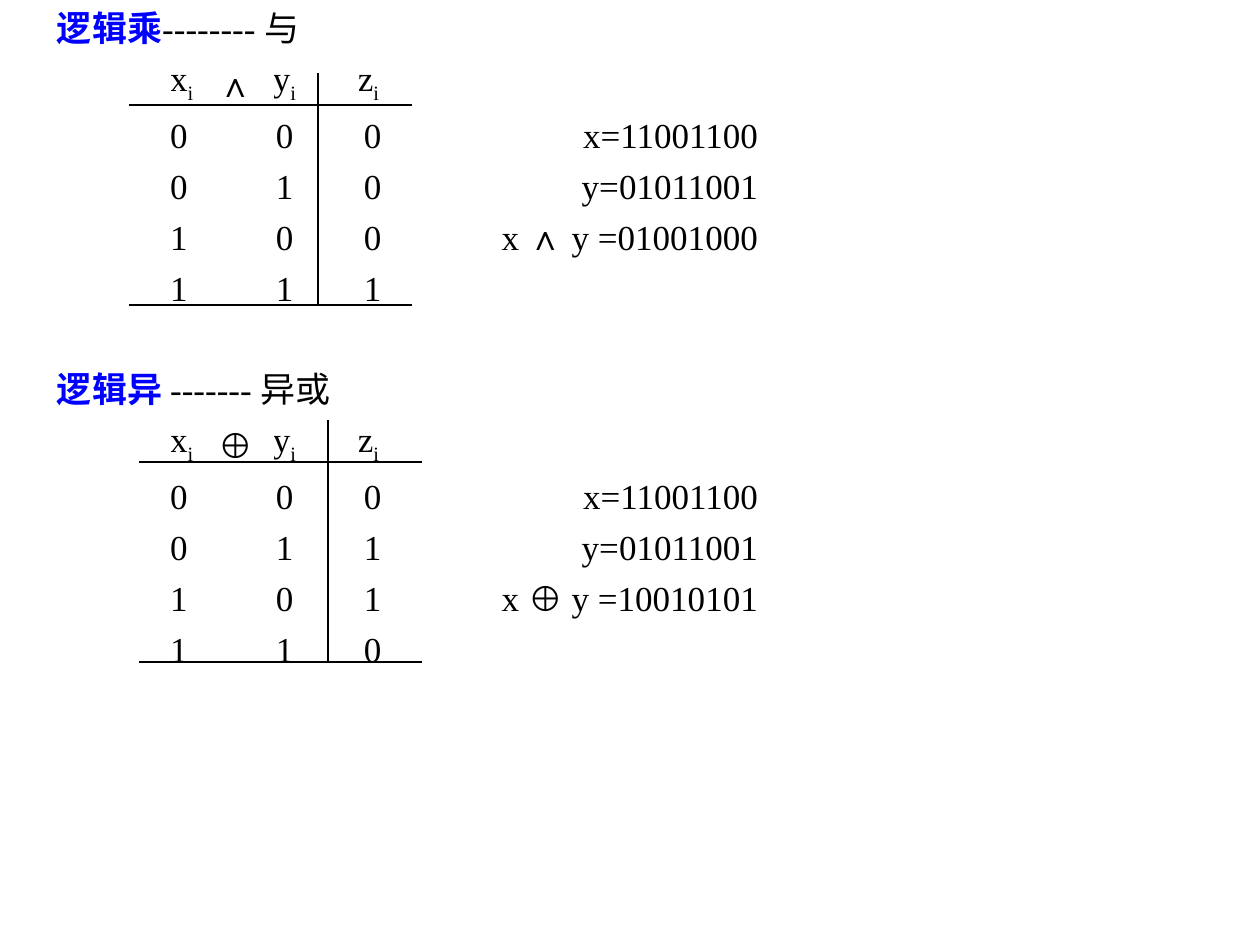
from dataclasses import dataclass

from lxml.etree import SubElement
from pptx import Presentation
from pptx.dml.color import RGBColor
from pptx.enum.shapes import MSO_CONNECTOR
from pptx.enum.text import MSO_ANCHOR, MSO_AUTO_SIZE, PP_ALIGN
from pptx.oxml.ns import qn
from pptx.slide import Slide
from pptx.text.text import TextFrame, _Paragraph
from pptx.util import Emu, Length, Pt

BLUE = RGBColor(0x00, 0x00, 0xFF)
BLACK = RGBColor(0x00, 0x00, 0x00)
FONT = "Times New Roman"
EMU_PER_INCH = 914400
PX_PER_INCH = 126

SECTION_PITCH = 361
HEADING_LINE = 42
TABLE_LEFT, TABLE_TOP = 170, 58
COLUMN_WIDTHS = (48, 55, 85, 50)
DIGIT_INDENTS = (0, 0, 3, 6)
HEADER_HEIGHT, ROW_HEIGHT = 56, 51
HEADER_DROP = 5
EXPRESSIONS_LEFT, EXPRESSIONS_RIGHT = 450, 758
RULE_WIDTH, DIVIDER_OFFSET = 283, 189


@dataclass(frozen=True)
class Operation:
    term: str
    meaning: str
    symbol: str
    outputs: str
    expressions: tuple[str, ...]
    rule_left: int
    divider_top: int
    header_rule: int
    bottom_rule: int


OPERATIONS = (
    Operation("逻辑乘", "-------- 与", "∧", "0001",
              ("x=11001100", "y=01011001", "x ∧ y =01001000"),
              129, 73, 105, 305),
    Operation("逻辑异 ", "------- 异或", "⊕", "0110",
              ("x=11001100", "y=01011001", "x ⊕ y =10010101"),
              139, 420, 462, 662),
)


def px(length: int) -> Emu:
    return Emu(round(length * EMU_PER_INCH / PX_PER_INCH))


def write_line(line: _Paragraph, parts: tuple[str, ...], gap_before: Length = Pt(0)) -> None:
    line.line_spacing = Pt(24)
    line.space_before = gap_before
    line.space_after = Pt(0)
    for part in parts:
        run = line.add_run()
        run.text = part
        run.font.name = FONT
        run.font.size = Pt(20)
        run.font.bold = False
        run.font.color.rgb = BLACK


def next_line(frame: TextFrame, index: int) -> _Paragraph:
    return frame.paragraphs[0] if index == 0 else frame.add_paragraph()


def write_headings(slide: Slide) -> None:
    content = slide.placeholders[1]
    content.left, content.top = px(44), px(0)
    content.width, content.height = px(1071), px(777)
    body = content.text_frame
    body.word_wrap = True
    body.auto_size = MSO_AUTO_SIZE.NONE
    body.vertical_anchor = MSO_ANCHOR.TOP
    body.margin_left = body.margin_right = px(13)
    body.margin_top = body.margin_bottom = px(6)
    for index, operation in enumerate(OPERATIONS):
        heading = next_line(body, index)
        gap = px(SECTION_PITCH - HEADING_LINE) if index else Pt(0)
        write_line(heading, (operation.term, operation.meaning), gap)
        heading.runs[0].font.bold = True
        heading.runs[0].font.color.rgb = BLUE
        properties = heading._p.get_or_add_pPr()
        properties.set("marL", "0")
        properties.set("indent", "0")
        SubElement(properties, qn("a:buNone"))


def draw_truth_table(slide: Slide, operation: Operation, top: int) -> None:
    header = (("x", "i"), (operation.symbol,), ("y", "i"), ("z", "i"))
    rows = [header]
    for index, output in enumerate(operation.outputs):
        x, y = divmod(index, 2)
        rows.append(((str(x),), (), (str(y),), (output,)))

    table = slide.shapes.add_table(
        len(rows), len(COLUMN_WIDTHS), px(TABLE_LEFT), px(top), px(sum(COLUMN_WIDTHS)),
        px(HEADER_HEIGHT + ROW_HEIGHT * len(operation.outputs))).table
    table.first_row = table.horz_banding = False
    for column, width in zip(table.columns, COLUMN_WIDTHS):
        column.width = px(width)
    for row_index, row in enumerate(rows):
        is_header = row_index == 0
        table.rows[row_index].height = px(HEADER_HEIGHT if is_header else ROW_HEIGHT)
        for column_index, parts in enumerate(row):
            cell = table.cell(row_index, column_index)
            cell.fill.background()
            cell.vertical_anchor = MSO_ANCHOR.TOP
            cell.margin_left = px(0 if is_header else DIGIT_INDENTS[column_index])
            cell.margin_top = px(HEADER_DROP if is_header else 0)
            cell.margin_right = cell.margin_bottom = px(0)
            line = cell.text_frame.paragraphs[0]
            write_line(line, parts)
            for subscript in line.runs[1:]:
                subscript.font._element.set("baseline", "-25000")


def write_expressions(slide: Slide, operation: Operation, top: int) -> None:
    frame = slide.shapes.add_textbox(
        px(EXPRESSIONS_LEFT), px(top), px(EXPRESSIONS_RIGHT - EXPRESSIONS_LEFT),
        px(ROW_HEIGHT * len(operation.expressions))).text_frame
    frame.word_wrap = True
    frame.margin_left = frame.margin_right = px(0)
    frame.margin_top = frame.margin_bottom = px(0)
    for index, expression in enumerate(operation.expressions):
        line = next_line(frame, index)
        line.alignment = PP_ALIGN.RIGHT
        write_line(line, (expression,), Pt(5) if index else Pt(0))


def draw_rule(slide: Slide, x1: int, y1: int, x2: int, y2: int) -> None:
    rule = slide.shapes.add_connector(
        MSO_CONNECTOR.STRAIGHT, px(x1), px(y1), px(x2), px(y2))
    rule.line.color.rgb = BLACK
    rule.line.width = Pt(0.75)
    SubElement(rule._element.spPr, qn("a:effectLst"))


def draw_table_rules(slide: Slide, operation: Operation) -> None:
    left = operation.rule_left
    for y in (operation.header_rule, operation.bottom_rule):
        draw_rule(slide, left, y, left + RULE_WIDTH, y)
    divider = left + DIVIDER_OFFSET
    draw_rule(slide, divider, operation.divider_top, divider, operation.bottom_rule)


def main() -> None:
    presentation = Presentation()
    presentation.slide_width = px(1260)
    presentation.slide_height = px(945)
    slide = presentation.slides.add_slide(presentation.slide_layouts[1])
    title = slide.shapes.title._element
    title.getparent().remove(title)

    write_headings(slide)
    for index, operation in enumerate(OPERATIONS):
        table_top = TABLE_TOP + index * SECTION_PITCH
        draw_truth_table(slide, operation, table_top)
        write_expressions(slide, operation, table_top + HEADER_HEIGHT)
        draw_table_rules(slide, operation)
    presentation.save("out.pptx")


if __name__ == "__main__":
    main()
